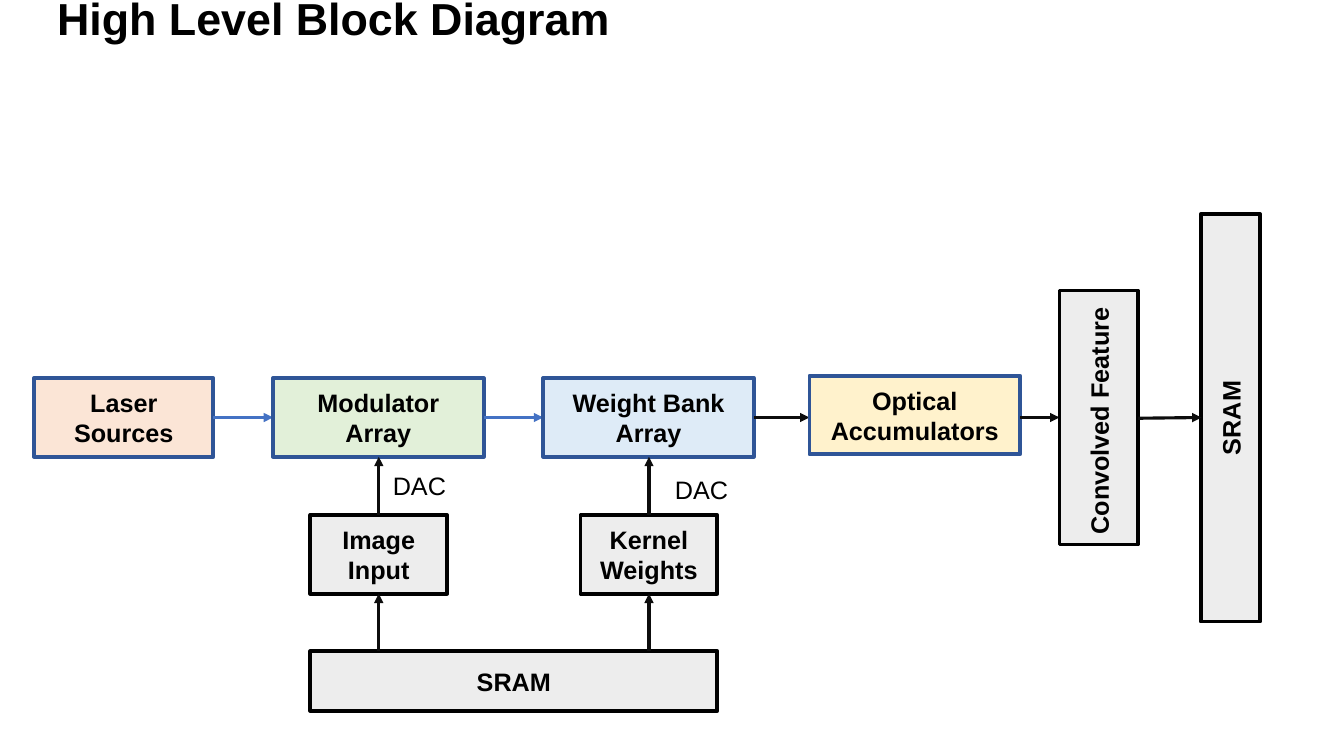
import pptx
import pptx.util
import pptx.dml.color
import pptx.enum.shapes
import pptx.enum.text
import pptx.oxml
import pptx.oxml.ns

Cm, Pt = pptx.util.Cm, pptx.util.Pt
RGBColor = pptx.dml.color.RGBColor

# Colours
BLACK = RGBColor(0x00, 0x00, 0x00)
INK = RGBColor(0x0D, 0x0D, 0x0D)
NAVY = RGBColor(0x2F, 0x55, 0x97)
BLUE = RGBColor(0x44, 0x72, 0xC4)
PEACH = RGBColor(0xFB, 0xE5, 0xD6)
GREEN = RGBColor(0xE2, 0xF0, 0xD9)
SKY = RGBColor(0xDE, 0xEB, 0xF7)
CREAM = RGBColor(0xFF, 0xF2, 0xCC)
GREY = RGBColor(0xED, 0xED, 0xED)

# Shared sizes in cm
TALL, WIDE = 1.98, 5.31
ROW, FLOW = 9.53, 10.52
FEED, FEED_W = 12.98, 3.45
BANK, BANK_W, BANK_H = 16.41, 10.26, 1.5


def add_run(frame, text, size=18, bold=True):
    run = frame.paragraphs[0].add_run()
    run.text = text
    run.font.name = "Arial"
    run.font.size = Pt(size)
    run.font.bold = bold
    run.font.color.rgb = BLACK


def add_box(slide, text, left, top, width, height, fill, edge=BLACK, turn=0):
    box = slide.shapes.add_shape(
        pptx.enum.shapes.MSO_SHAPE.RECTANGLE,
        Cm(left), Cm(top), Cm(width), Cm(height))
    box.shadow.inherit = False
    box.rotation = turn
    box.fill.solid()
    box.fill.fore_color.rgb = fill
    box.line.color.rgb = edge
    box.line.width = Pt(2.75)
    frame = box.text_frame
    frame.word_wrap = True
    frame.vertical_anchor = pptx.enum.text.MSO_ANCHOR.MIDDLE
    frame.paragraphs[0].alignment = pptx.enum.text.PP_ALIGN.CENTER
    add_run(frame, text)


def add_label(slide, text, left, top, width, height, size=18, bold=False):
    label = slide.shapes.add_textbox(Cm(left), Cm(top), Cm(width), Cm(height))
    frame = label.text_frame
    frame.word_wrap = False
    frame.auto_size = pptx.enum.text.MSO_AUTO_SIZE.SHAPE_TO_FIT_TEXT
    add_run(frame, text, size, bold)


def add_arrow(slide, x1, y1, x2, y2, color=INK):
    arrow = slide.shapes.add_connector(
        pptx.enum.shapes.MSO_CONNECTOR.STRAIGHT,
        Cm(x1), Cm(y1), Cm(x2), Cm(y2))
    arrow.line.color.rgb = color
    arrow.line.width = Pt(2.25)
    qn = pptx.oxml.ns.qn
    props = arrow._element.spPr
    head = props.find(qn("a:ln")).makeelement(
        qn("a:tailEnd"), {"type": "triangle"})
    props.find(qn("a:ln")).append(head)
    props.append(props.makeelement(qn("a:effectLst"), {}))


def main():
    deck = pptx.Presentation()
    deck.slide_width, deck.slide_height = Cm(33.87), Cm(19.05)
    slide = deck.slides.add_slide(deck.slide_layouts[6])

    add_label(slide, "High Level Block Diagram",
              1.19, -0.36, 14.55, 1.63, 32, True)

    # Optical stages, each with an arrow to the next
    stages = [
        ("Laser Sources", 0.86, ROW, 4.52, PEACH, BLUE),
        ("Modulator Array", 6.88, ROW, WIDE, GREEN, BLUE),
        ("Weight Bank Array", 13.69, ROW, WIDE, SKY, INK),
        ("Optical Accumulators", 20.4, 9.47, WIDE, CREAM, INK),
    ]
    ends = [stage[1] for stage in stages[1:]] + [26.7]
    for (text, left, top, width, fill, color), end in zip(stages, ends):
        add_box(slide, text, left, top, width, TALL, fill, NAVY)
        add_arrow(slide, left + width, FLOW, end, FLOW, color)

    # Upright output blocks
    add_box(slide, "Convolved Feature ", 24.49, ROW, 6.4, TALL, GREY, turn=270)
    add_box(slide, "SRAM", 25.88, 9.78, BANK_W, BANK_H, GREY, turn=270)
    add_arrow(slide, 28.68, 10.54, 30.28, FLOW)

    # Memory and the two inputs it feeds
    add_box(slide, "SRAM", 7.82, BANK, BANK_W, BANK_H, GREY)
    feeds = [
        ("Image Input", 7.82, 9.65, 11.73),
        ("Kernel Weights", 14.63, 16.76, 11.84),
    ]
    for text, left, tag_x, tag_y in feeds:
        mid = left + FEED_W / 2
        add_box(slide, text, left, FEED, FEED_W, TALL, GREY)
        add_arrow(slide, mid, BANK, mid, FEED + TALL)
        add_arrow(slide, mid, FEED, mid, ROW + TALL)
        add_label(slide, "DAC", tag_x, tag_y, 1.85, 1.02)

    deck.save("out.pptx")


main()
